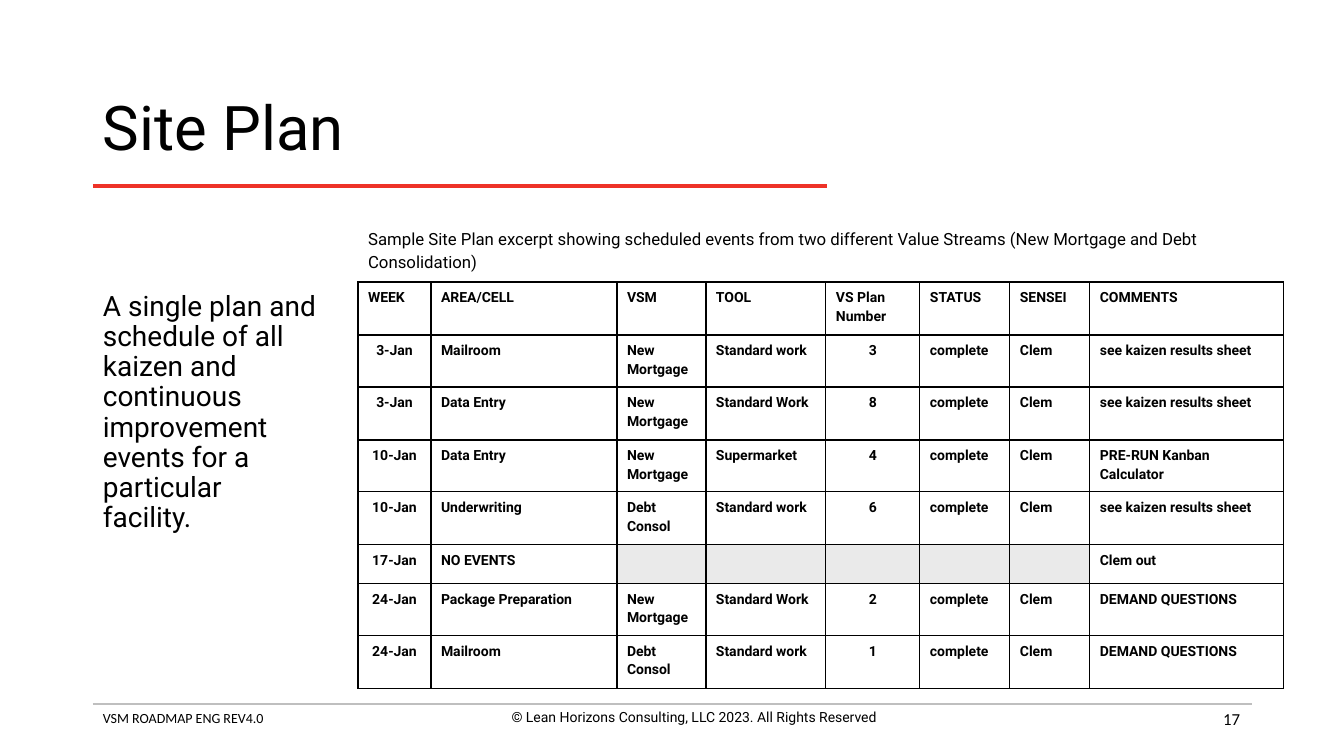
from pptx import Presentation
from pptx.dml.color import RGBColor
from pptx.enum.shapes import MSO_CONNECTOR
from pptx.enum.text import MSO_ANCHOR, PP_ALIGN
from pptx.oxml import parse_xml
from pptx.oxml.ns import nsdecls
from pptx.util import Pt

PX = 12192000 / 1344
LEFT, CENTER, RIGHT = PP_ALIGN.LEFT, PP_ALIGN.CENTER, PP_ALIGN.RIGHT
TOP, MIDDLE = MSO_ANCHOR.TOP, MSO_ANCHOR.MIDDLE
STRAIGHT = MSO_CONNECTOR.STRAIGHT
BLACK = "000000"


def color(code):
    return RGBColor.from_string(code)


def write(frame, text, align, space, style):
    para = frame.paragraphs[0]
    para.alignment, para.line_spacing = align, space
    run = para.add_run()
    run.text = text
    run.font.color.rgb = color(BLACK)
    for name, value in style.items():
        setattr(run.font, name, value)


deck = Presentation()
deck.slide_width, deck.slide_height = round(1344 * PX), round(756 * PX)
slide = deck.slides.add_slide(deck.slide_layouts[6])

# Rules under the title and above the footer
rules = [(93, 186, 827, "EE3228", 3), (93, 704, 1252, "BFBFBF", 2)]
for start, y, end, tint, width in rules:
    rule = slide.shapes.add_connector(
        STRAIGHT, *(round(v * PX) for v in (start, y, end, y)))
    rule.line.color.rgb = color(tint)
    rule.line.width = Pt(width)
    rule._element.spPr.append(parse_xml(f"<a:effectLst {nsdecls('a')}/>"))

# Title, message and footer texts
texts = [
    ("Site Plan", (93, 75, 1159, 111), "Roboto", 44, LEFT, MIDDLE, 0.9),
    ("A single plan and schedule of all kaizen and continuous improvement "
     "events for a particular facility.",
     (93, 287, 234, 275), "Roboto", 20, LEFT, TOP, 0.9),
    ("VSM ROADMAP ENG REV4.0",
     (93, 705, 460, 44), "Calibri", 10, LEFT, TOP, 1.0),
    ("© Lean Horizons Consulting, LLC 2023. All Rights Reserved",
     (464, 704, 460, 44), "Roboto", 10, CENTER, TOP, 1.0),
    ("17", (948, 699, 302, 40), "Calibri", 12, RIGHT, MIDDLE, 1.0),
]
for text, place, face, size, align, anchor, space in texts:
    box = slide.shapes.add_textbox(*(round(v * PX) for v in place))
    box.text_frame.word_wrap = True
    box.text_frame.vertical_anchor = anchor
    write(box.text_frame, text, align, space, {"name": face, "size": Pt(size)})

# Site plan table
caption = ("Sample Site Plan excerpt showing scheduled events from two "
           "different Value Streams (New Mortgage and Debt Consolidation)")
NEW, DEBT = "New Mortgage", "Debt Consol"
SHEET, ASK = "see kaizen results sheet", "DEMAND QUESTIONS"
DONE = ("complete", "Clem")
rows = [
    (caption,) + ("",) * 7,
    ("WEEK", "AREA/CELL", "VSM", "TOOL", "VS Plan Number", "STATUS",
     "SENSEI", "COMMENTS"),
    ("3-Jan", "Mailroom", NEW, "Standard work", "3", *DONE, SHEET),
    ("3-Jan", "Data Entry", NEW, "Standard Work", "8", *DONE, SHEET),
    ("10-Jan", "Data Entry", NEW, "Supermarket", "4", *DONE,
     "PRE-RUN Kanban Calculator"),
    ("10-Jan", "Underwriting", DEBT, "Standard work", "6", *DONE, SHEET),
    ("17-Jan", "NO EVENTS", "", "", "", "", "", "Clem out"),
    ("24-Jan", "Package Preparation", NEW, "Standard Work", "2", *DONE, ASK),
    ("24-Jan", "Mailroom", DEBT, "Standard work", "1", *DONE, ASK),
]
widths = [73, 186, 89, 120, 94, 90, 80, 194]
heights = [60, 53, 52, 53, 52, 53, 39, 52, 53]
place = (358, 222, sum(widths), sum(heights))
plan = slide.shapes.add_table(
    len(rows), len(widths), *(round(v * PX) for v in place)).table
plan.first_row = plan.horz_banding = False
for col, width in zip(plan.columns, widths):
    col.width = round(width * PX)
for row, height in zip(plan.rows, heights):
    row.height = round(height * PX)
plan.cell(0, 0).merge(plan.cell(0, len(widths) - 1))

for r, row in enumerate(rows):
    for c, text in enumerate(row):
        cell = plan.cell(r, c)
        # The caption row has only a bottom border
        for side in "LRTB":
            paint = (f'<a:solidFill><a:srgbClr val="{BLACK}"/></a:solidFill>'
                     if r or side == "B" else "<a:noFill/>")
            cell._tc.get_or_add_tcPr().append(parse_xml(
                f'<a:ln{side} {nsdecls("a")} w="12700">{paint}</a:ln{side}>'))
        if r and not text:
            cell.fill.solid()
            cell.fill.fore_color.rgb = color("EAEAEA")
        else:
            cell.fill.background()
        if text:
            align = CENTER if r > 1 and c in (0, 4) else LEFT
            write(cell.text_frame, text, align, 1.15,
                  {"name": "Roboto", "size": Pt(10 if r else 12),
                   "bold": r > 0})
        else:
            cell.margin_top = cell.margin_bottom = 0

deck.save("out.pptx")
